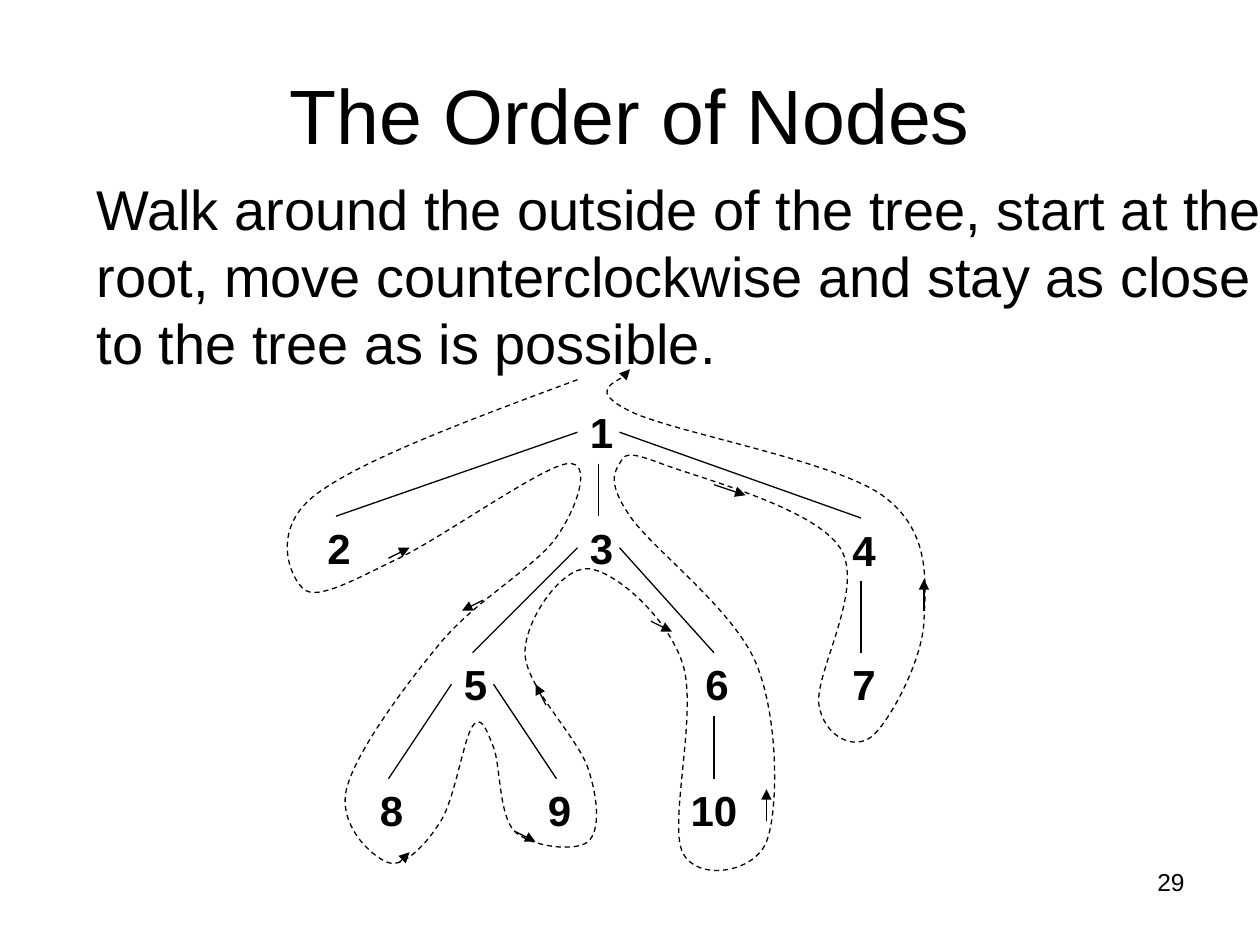
from pptx import Presentation
from pptx import util as u
from pptx.dml.color import RGBColor
from pptx.enum import dml, shapes, text
from pptx.oxml.ns import qn
from lxml import etree

Pt = u.Pt
COLORS = {"ink": "000000", "paper": "FFFFFF"}
FONT = "Arial"
BOTTOM, TOP, LEFT, RIGHT = 2, 0, 1, 3

NODE_WIDTH, NODE_HEIGHT = 24, 36
NODES = {
    "1": (180, 19), "2": (30, 85), "3": (180, 85), "4": (330, 86),
    "5": (108, 163), "6": (246, 163), "7": (330, 163),
    "8": (60, 235), "9": (156, 235), "10": (228, 235),
}
WIDE_NODES = {"10": 60}
EDGES = [
    ("1", BOTTOM, "3"), ("1", RIGHT, "4"), ("1", LEFT, "2"),
    ("3", LEFT, "5"), ("3", RIGHT, "6"), ("4", BOTTOM, "7"),
    ("5", LEFT, "8"), ("5", RIGHT, "9"), ("6", BOTTOM, "10"),
]
LEAD_IN = (402, -65)
WALK = [
    (180, 7), (30, 73), (24, 127), (78, 109), (174, 55), (168, 97),
    (102, 157), (48, 241), (72, 283), (102, 259), (120, 205), (132, 217),
    (144, 265), (186, 271), (186, 229), (150, 163), (186, 115), (240, 169),
    (240, 277), (288, 271), (282, 169), (210, 85), (204, 55), (228, 55),
    (330, 103), (318, 193), (348, 211), (378, 145), (354, 73), (210, 25),
    (210, 1),
]
ARROWS = [
    ((72, 109), (84, 103)), ((126, 133), (114, 139)),
    ((78, 283), (84, 277)), ((144, 265), (156, 271)),
    ((162, 193), (156, 181)), ((222, 145), (234, 151)),
    ((288, 259), (288, 241)), ((258, 67), (276, 73)),
    ((378, 139), (378, 121)),
]


def color(name):
    """Return a named colour."""
    return RGBColor.from_string(COLORS[name])


def place(shape, box):
    """Move a shape to a box of left, top, width and height in points."""
    shape.left, shape.top, shape.width, shape.height = map(Pt, box)


def write(shape, words, size, align, bold=False, before=0,
          anchor=text.MSO_ANCHOR.TOP):
    """Write one formatted paragraph into a shape and return it."""
    frame = shape.text_frame
    frame.word_wrap = True
    frame.auto_size = text.MSO_AUTO_SIZE.NONE
    frame.vertical_anchor = anchor
    para = frame.paragraphs[0]
    para.alignment = align
    para.space_before = Pt(before)
    span = para.add_run()
    span.text = words
    span.font.name = FONT
    span.font.size = Pt(size)
    span.font.bold = bold
    span.font.color.rgb = color("ink")
    return para


def style_line(shape, arrow=False):
    """Give a line its thin stroke, an optional arrowhead and no shadow."""
    shape.line.color.rgb = color("ink")
    shape.line.width = Pt(0.75)
    if arrow:
        stroke = shape._element.find(".//" + qn("a:ln"))
        etree.SubElement(stroke, qn("a:tailEnd"), type="triangle")
    properties = shape._element.find(qn("p:spPr"))
    if properties.find(qn("a:effectLst")) is None:
        etree.SubElement(properties, qn("a:effectLst"))


def add_title(page, box):
    """Fill the title placeholder."""
    title = page.shapes.title
    place(title, box)
    write(title, "The Order of Nodes", 44, text.PP_ALIGN.CENTER,
          anchor=text.MSO_ANCHOR.MIDDLE)


def add_body(page, box):
    """Fill the body placeholder with one unbulleted, indented paragraph."""
    body = page.placeholders[1]
    place(body, box)
    para = write(body, "Walk around the outside of the tree, start at the "
                 "root, move counterclockwise and stay as close to the tree "
                 "as is possible.", 32, text.PP_ALIGN.LEFT, before=8)
    properties = para._p.get_or_add_pPr()
    properties.set("marL", str(Pt(48)))
    properties.set("indent", "0")
    etree.SubElement(properties, qn("a:buNone"))


def add_page_number(page, box):
    """Add the page number."""
    number = page.shapes.add_textbox(*map(Pt, box))
    write(number, "29", 14, text.PP_ALIGN.RIGHT)


def add_tree(page, left, top):
    """Add the numbered nodes and the edges that join them."""
    nodes = {}
    for name, (x, y) in NODES.items():
        wide = name in WIDE_NODES
        node = page.shapes.add_textbox(
            Pt(left + x), Pt(top + y),
            Pt(WIDE_NODES.get(name, NODE_WIDTH)), Pt(NODE_HEIGHT))
        align = text.PP_ALIGN.CENTER if wide else text.PP_ALIGN.LEFT
        write(node, name, 24, align, bold=True, before=15)
        nodes[name] = node
    for parent, side, child in EDGES:
        edge = page.shapes.add_connector(
            shapes.MSO_CONNECTOR.STRAIGHT, 0, 0, 0, 0)
        edge.begin_connect(nodes[parent], side)
        edge.end_connect(nodes[child], TOP)
        style_line(edge)


def spline_points(knots, lead_in):
    """Return two control points and an end point for each smooth segment."""
    chain = [lead_in, *knots, knots[-1]]
    points = []
    for before, start, end, after in zip(chain, chain[1:], chain[2:], chain[3:]):
        if start == knots[0]:
            second = [e - (a - s) / 6 for s, e, a in zip(start, end, after)]
            first = [(s + c) / 2 for s, c in zip(start, second)]
        else:
            first = [s + (e - b) / 6 for b, s, e in zip(before, start, end)]
            second = [e - (a - s) / 6 for s, e, a in zip(start, end, after)]
        points += [first, second, end]
    return points


def add_walk(page, left, top):
    """Add the dashed curve around the tree and its direction arrows."""
    def at(point):
        """Return a point of the region in slide units."""
        return Pt(left + point[0]), Pt(top + point[1])

    builder = page.shapes.build_freeform(*at(WALK[0]))
    builder.add_line_segments(
        [at(point) for point in spline_points(WALK, LEAD_IN)], close=False)
    curve = builder.convert_to_shape()
    outline = curve._element.find(".//" + qn("a:path"))
    segments = outline.findall(qn("a:lnTo"))
    for index in range(0, len(segments), 3):
        bend = etree.SubElement(outline, qn("a:cubicBezTo"))
        for segment in segments[index:index + 3]:
            bend.append(segment[0])
            outline.remove(segment)
    curve.fill.background()
    curve.shadow.inherit = False
    curve.line.dash_style = dml.MSO_LINE.DASH
    style_line(curve, arrow=True)
    for start, end in ARROWS:
        arrow = page.shapes.add_connector(
            shapes.MSO_CONNECTOR.STRAIGHT, *at(start), *at(end))
        style_line(arrow, arrow=True)


def main():
    """Build the slide and save it."""
    deck = Presentation()
    deck.slide_width, deck.slide_height = Pt(720), Pt(540)
    page = deck.slides.add_slide(deck.slide_layouts[1])
    page.background.fill.solid()
    page.background.fill.fore_color.rgb = color("paper")
    add_title(page, (36, 29, 648, 72))
    add_body(page, (0, 96, 744, 162))
    add_tree(page, 150, 210)
    add_walk(page, 150, 210)
    add_page_number(page, (516, 492, 168, 37.5))
    deck.save("out.pptx")


if __name__ == "__main__":
    main()
